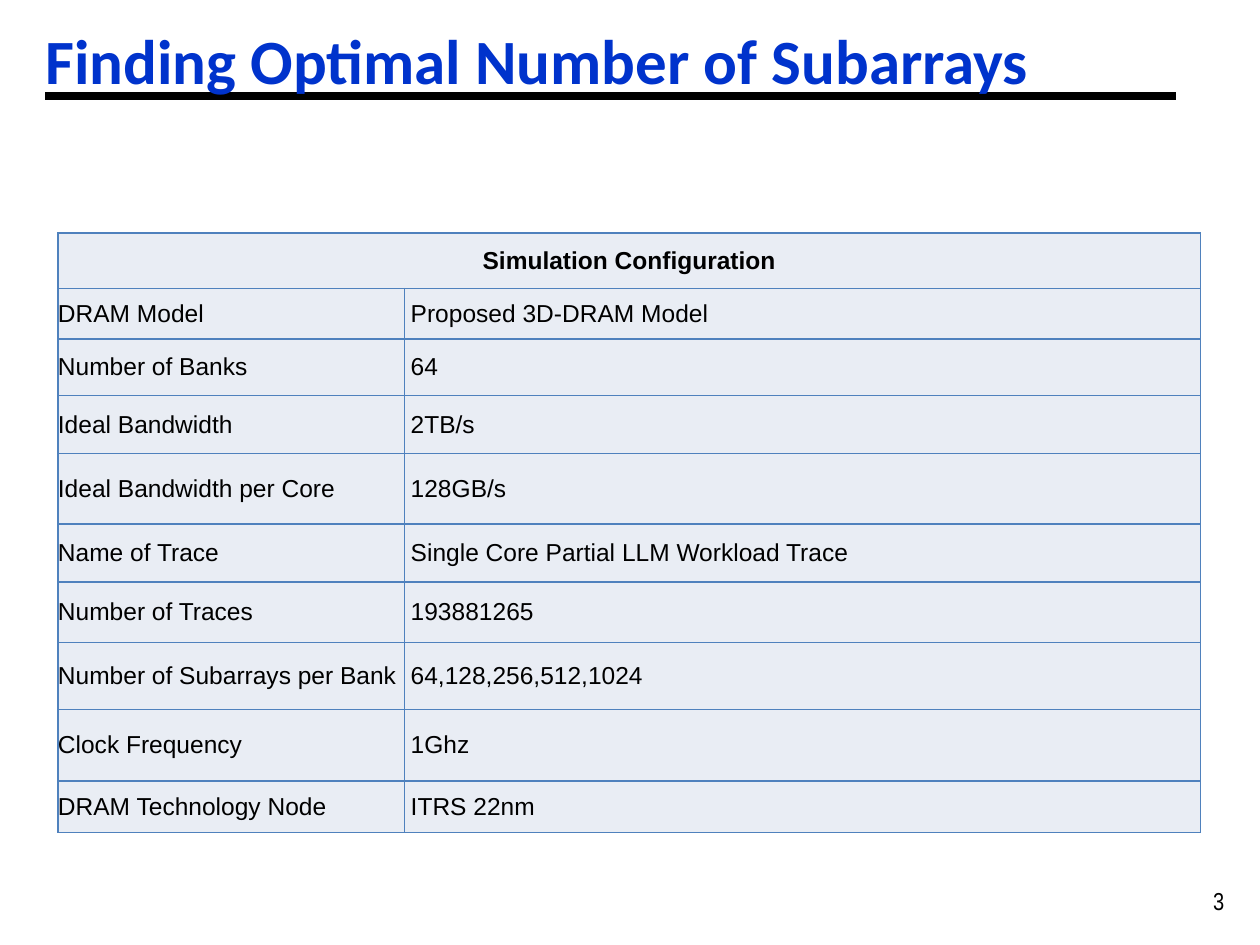
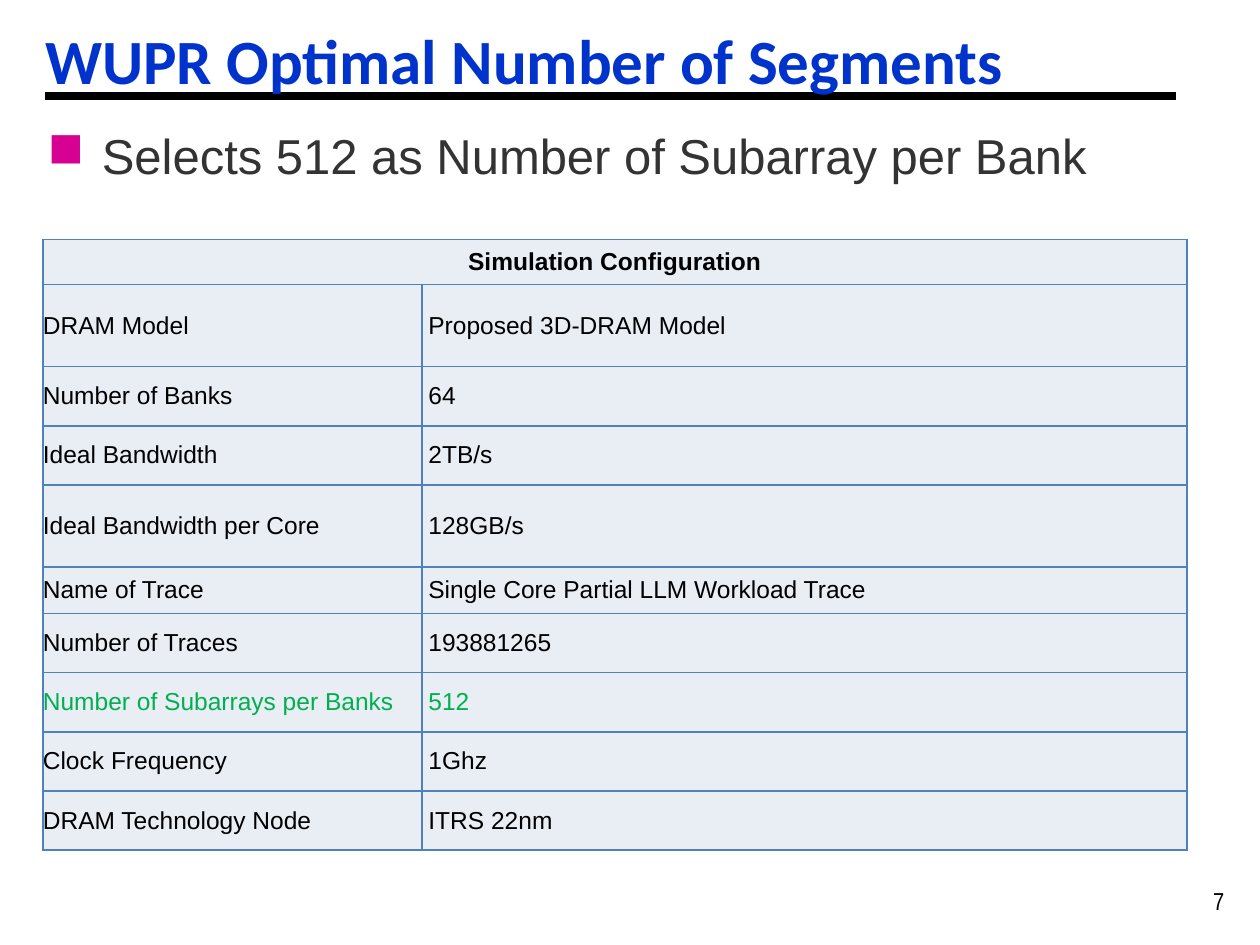
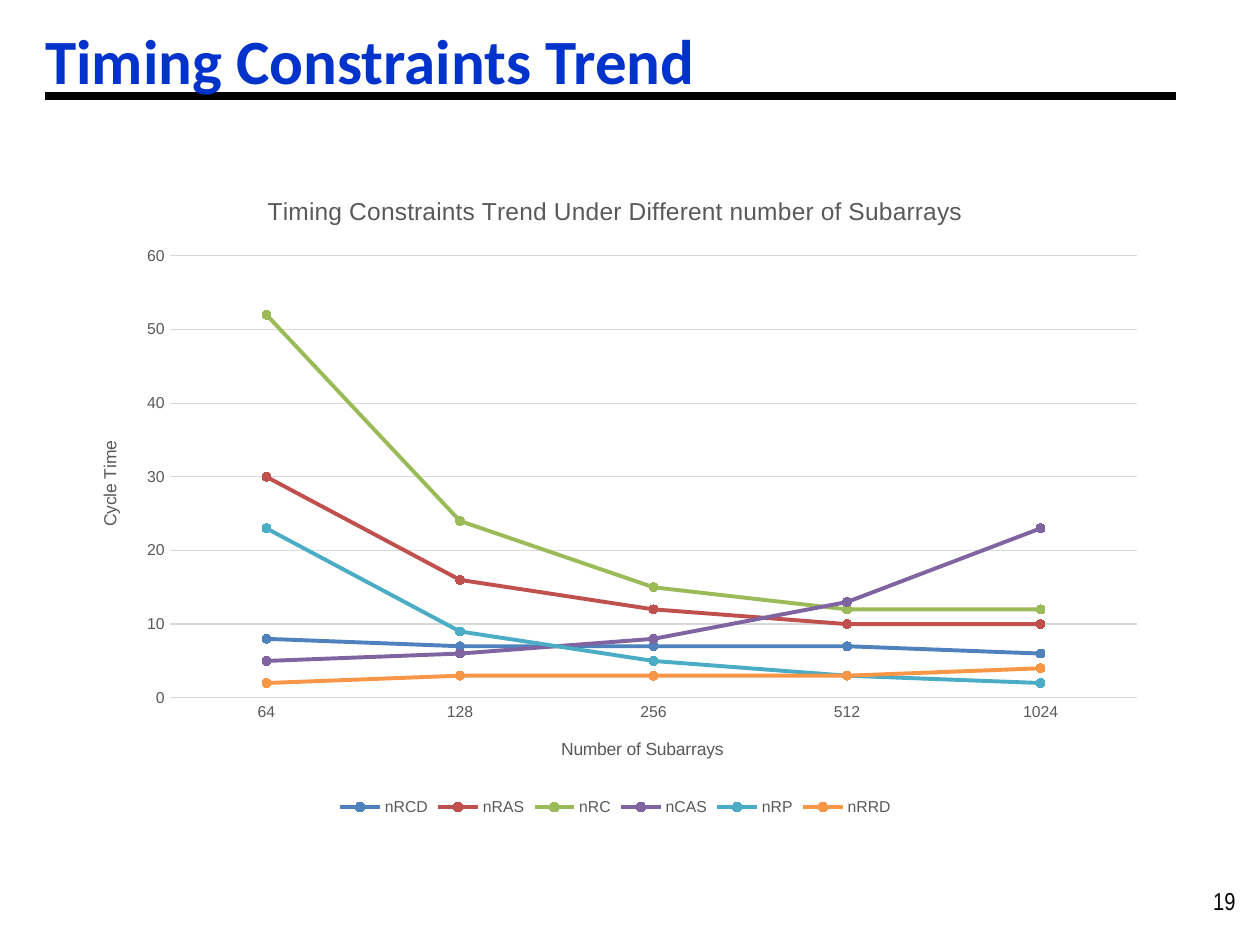
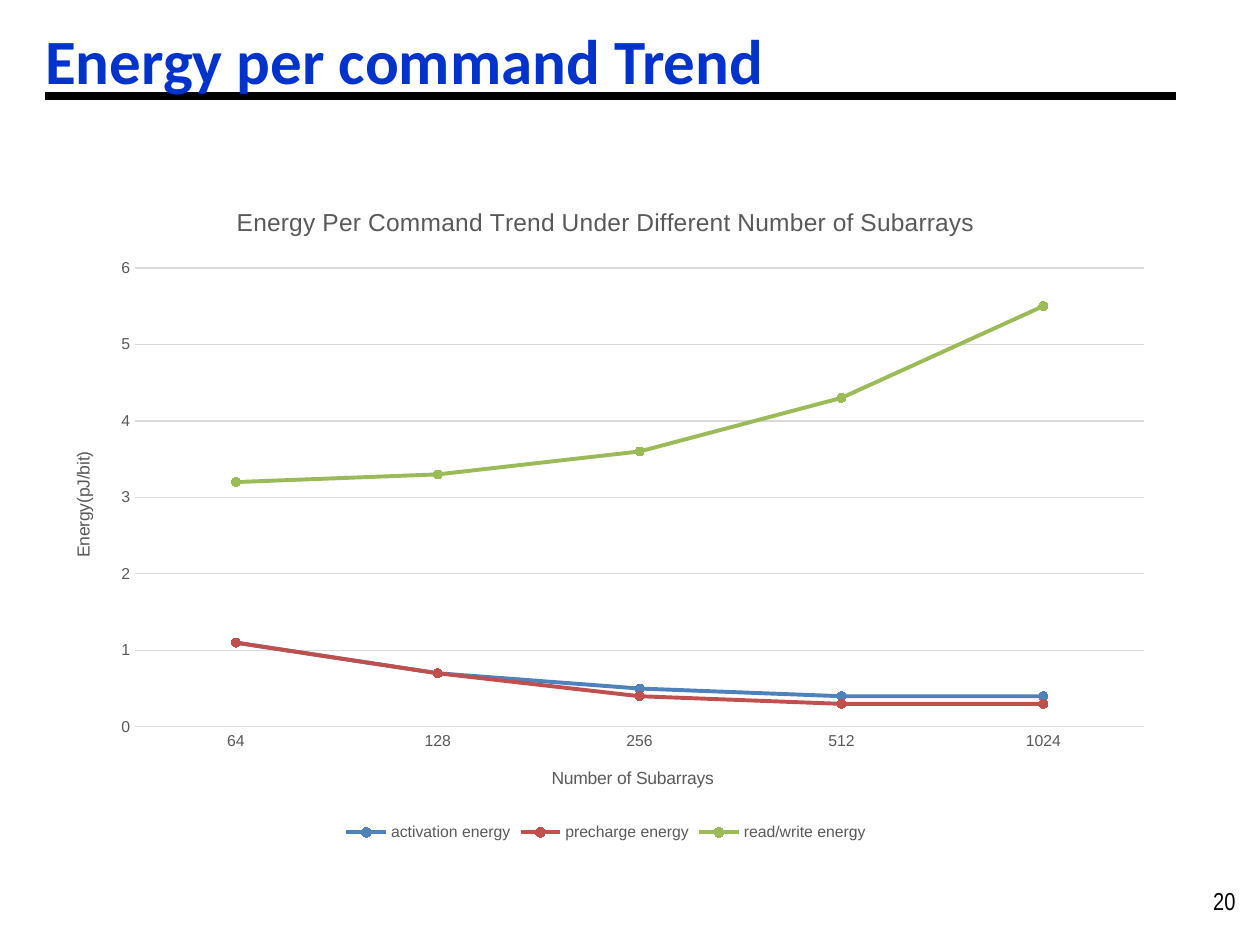
from lxml.etree import SubElement
from pptx import Presentation
from pptx.chart.data import CategoryChartData
from pptx.dml.color import RGBColor
from pptx.enum.chart import (XL_CHART_TYPE, XL_LEGEND_POSITION,
                             XL_MARKER_STYLE, XL_TICK_MARK)
from pptx.enum.shapes import MSO_CONNECTOR
from pptx.enum.text import MSO_ANCHOR, PP_ALIGN
from pptx.oxml import parse_xml
from pptx.oxml.ns import nsdecls, qn
from pptx.util import Inches, Pt

BLACK, BLUE, PINK = "000000", "0033CC", "D60093"
DARK, GRAY, GRID = "333333", "595959", "D9D9D9"
GREEN, PALE, EDGE = "00B050", "E9EDF4", "4F81BD"
SERIES = ("4F81BD", "C0504D", "9BBB59", "8064A2", "4BACC6", "F79646")
COUNTS = ("64", "128", "256", "512", "1024")


def color(code):
    return RGBColor.from_string(code)


def style(font, size, code, name="Arial", bold=False):
    font.size, font.name, font.bold = Pt(size), name, bold
    font.color.rgb = color(code)


def stroke(line, code, width):
    line.color.rgb = color(code)
    line.width = Pt(width)


def outline(cell):
    """Draw all four borders of a table cell."""
    props = cell._tc.get_or_add_tcPr()
    for spot, side in enumerate(("lnL", "lnR", "lnT", "lnB")):
        props.insert(spot, parse_xml(
            f'<a:{side} {nsdecls("a")} w="12700"><a:solidFill>'
            f'<a:srgbClr val="{EDGE}"/></a:solidFill></a:{side}>'))


def place(chart, left, top, width, height):
    """Fix the inner plot area, in fractions of the chart."""
    area = chart._chartSpace.chart.plotArea
    for old in area.findall(qn("c:layout")):
        area.remove(old)
    layout = parse_xml(f'<c:layout {nsdecls("c")}/>')
    manual = SubElement(layout, qn("c:manualLayout"))
    for tag, value in (("layoutTarget", "inner"), ("xMode", "edge"),
                       ("yMode", "edge"), ("x", left), ("y", top),
                       ("w", width), ("h", height)):
        SubElement(manual, qn(f"c:{tag}")).set("val", str(value))
    area.insert(0, layout)


class Deck:
    def __init__(self):
        self.show = Presentation()
        self.show.slide_width, self.show.slide_height = Inches(10), Inches(7.5)
        self.slide = None

    def start(self, title, number):
        """Add a slide with its number, rule and title."""
        self.slide = self.show.slides.add_slide(self.show.slide_layouts[6])
        page = self.text(number, (9.53, 6.98, 0.47, 0.33))
        style(page.paragraphs[0].font, 14, BLACK, "Arial Narrow")
        self.rule(0.36, 9.33, 0.76)
        head = self.text(title, (0.36, 0.11, 9.64, 0.71))
        head.margin_left = 0
        head.vertical_anchor = MSO_ANCHOR.BOTTOM
        style(head.paragraphs[0].font, 36, BLUE, "Calibri", True)

    def text(self, words, box):
        frame = self.slide.shapes.add_textbox(*map(Inches, box)).text_frame
        frame.word_wrap = True
        frame.text = words
        return frame

    def rule(self, left, right, top):
        line = self.slide.shapes.add_connector(
            MSO_CONNECTOR.STRAIGHT, Inches(left), Inches(top),
            Inches(right), Inches(top))
        stroke(line.line, BLACK, 4.5)
        SubElement(line._element.spPr, qn("a:effectLst"))

    def bullet(self, words, box):
        para = self.text(words, box).paragraphs[0]
        para.line_spacing, para.space_before = 0.9, Pt(6.4)
        style(para.font, 28, DARK)
        props = para._p.get_or_add_pPr()
        props.set("marL", str(Inches(0.5)))
        props.set("indent", str(Inches(-0.43)))
        spot = props.find(qn("a:defRPr"))
        tint = parse_xml(f'<a:buClr {nsdecls("a")}>'
                         f'<a:srgbClr val="{PINK}"/></a:buClr>')
        mark = parse_xml(f'<a:buChar {nsdecls("a")} char="■"/>')
        for item in (tint, mark):
            if spot is None:
                props.append(item)
            else:
                spot.addprevious(item)

    def cell(self, cell, words, code=BLACK, bold=False, pad=0):
        cell.text = words
        cell.vertical_anchor = MSO_ANCHOR.MIDDLE
        cell.margin_left = Inches(pad)
        cell.margin_right = cell.margin_top = cell.margin_bottom = 0
        style(cell.text_frame.paragraphs[0].font, 14, code, bold=bold)
        cell.fill.solid()
        cell.fill.fore_color.rgb = color(PALE)
        outline(cell)

    def config(self, left, top, widths, heights, arrays, accent=BLACK):
        """Add the simulation table; arrays is its subarray row."""
        rows = (("Simulation Configuration", ""),
                ("DRAM Model", "Proposed 3D-DRAM Model"),
                ("Number of Banks", "64"),
                ("Ideal Bandwidth", "2TB/s"),
                ("Ideal Bandwidth per Core", "128GB/s"),
                ("Name of Trace", "Single Core Partial LLM Workload Trace"),
                ("Number of Traces", "193881265"),
                arrays,
                ("Clock Frequency", "1Ghz"),
                ("DRAM Technology Node", "ITRS 22nm"))
        table = self.slide.shapes.add_table(
            len(rows), 2, Inches(left), Inches(top),
            Inches(sum(widths)), Inches(sum(heights))).table
        table.first_row = table.horz_banding = False
        for column, width in zip(table.columns, widths):
            column.width = Inches(width)
        for at, (row, height) in enumerate(zip(rows, heights)):
            table.rows[at].height = Inches(height)
            code = accent if row is arrays else BLACK
            for side, words in enumerate(row):
                self.cell(table.cell(at, side), words, code,
                          at == 0, side * 0.05)
        head = table.cell(0, 0)
        head.merge(table.cell(0, 1))
        head.text_frame.paragraphs[0].alignment = PP_ALIGN.CENTER

    def label(self, owner, words, size):
        """Title a chart or an axis."""
        frame = (owner.chart_title if hasattr(owner, "chart_title")
                 else owner.axis_title).text_frame
        frame.text = words
        style(frame.paragraphs[0].font, size, GRAY)

    def trend(self, box, plot, title, unit, top, step, series):
        """Add a line chart over the subarray counts."""
        data = CategoryChartData()
        data.categories = COUNTS
        for name, values in series.items():
            data.add_series(name, values)
        chart = self.slide.shapes.add_chart(
            XL_CHART_TYPE.LINE_MARKERS, *map(Inches, box), data).chart
        style(chart.font, 10, BLACK)
        self.label(chart, title, 14)
        place(chart, *plot)

        across, upright = chart.category_axis, chart.value_axis
        for axis, words in ((across, "Number of Subarrays"), (upright, unit)):
            self.label(axis, words, 10)
            axis.major_tick_mark = axis.minor_tick_mark = XL_TICK_MARK.NONE
            style(axis.tick_labels.font, 9, GRAY)
        stroke(across.format.line, GRID, 0.75)
        upright.format.line.fill.background()
        stroke(upright.major_gridlines.format.line, GRID, 0.75)
        upright.minimum_scale, upright.maximum_scale = 0, top
        upright.major_unit = step

        chart.has_legend = True
        chart.legend.position = XL_LEGEND_POSITION.BOTTOM
        chart.legend.include_in_layout = False
        style(chart.legend.font, 9, GRAY)

        chart.plots[0].vary_by_categories = False
        for line, code in zip(chart.plots[0].series, SERIES):
            line.smooth = False
            stroke(line.format.line, code, 2.25)
            mark = line.marker
            mark.style, mark.size = XL_MARKER_STYLE.CIRCLE, 5
            mark.format.fill.solid()
            mark.format.fill.fore_color.rgb = color(code)
            stroke(mark.format.line, code, 0.75)


def main():
    deck = Deck()

    deck.start("Finding Optimal Number of Subarrays", "3")
    deck.config(0.46, 1.85, (2.75, 6.32),
                (0.44, 0.4, 0.45, 0.46, 0.56, 0.46, 0.48, 0.53, 0.57, 0.41),
                ("Number of Subarrays per Bank", "64,128,256,512,1024"))

    deck.start("WUPR Optimal Number of Segments", "7")
    deck.config(0.34, 1.9, (3.01, 6.07),
                (0.36, 0.65, 0.47, 0.47, 0.65, 0.37, 0.47, 0.47, 0.47, 0.47),
                ("Number of Subarrays per Banks", "512"), GREEN)
    deck.bullet("Selects 512 as Number of Subarray per Bank",
                (0.21, 1, 9.21, 0.71))

    deck.start("Timing Constraints Trend", "19")
    deck.trend((0.57, 1.36, 8.63, 5.16), (0.09, 0.13, 0.89, 0.68),
               "Timing Constraints Trend Under Different number of Subarrays",
               "Cycle Time", 60, 10,
               {"nRCD": (8, 7, 7, 7, 6),
                "nRAS": (30, 16, 12, 10, 10),
                "nRC": (52, 24, 15, 12, 12),
                "nCAS": (5, 6, 8, 13, 23),
                "nRP": (23, 9, 5, 3, 2),
                "nRRD": (2, 3, 3, 3, 4)})

    deck.start("Energy per command Trend", "20")
    deck.trend((0.36, 1.44, 8.9, 5.28), (0.08, 0.13, 0.9, 0.69),
               "Energy Per Command Trend Under Different Number of Subarrays",
               "Energy(pJ/bit)", 6, 1,
               {"activation energy": (1.1, 0.7, 0.5, 0.4, 0.4),
                "precharge energy": (1.1, 0.7, 0.4, 0.3, 0.3),
                "read/write energy": (3.2, 3.3, 3.6, 4.3, 5.5)})

    deck.show.save("out.pptx")


if __name__ == "__main__":
    main()
